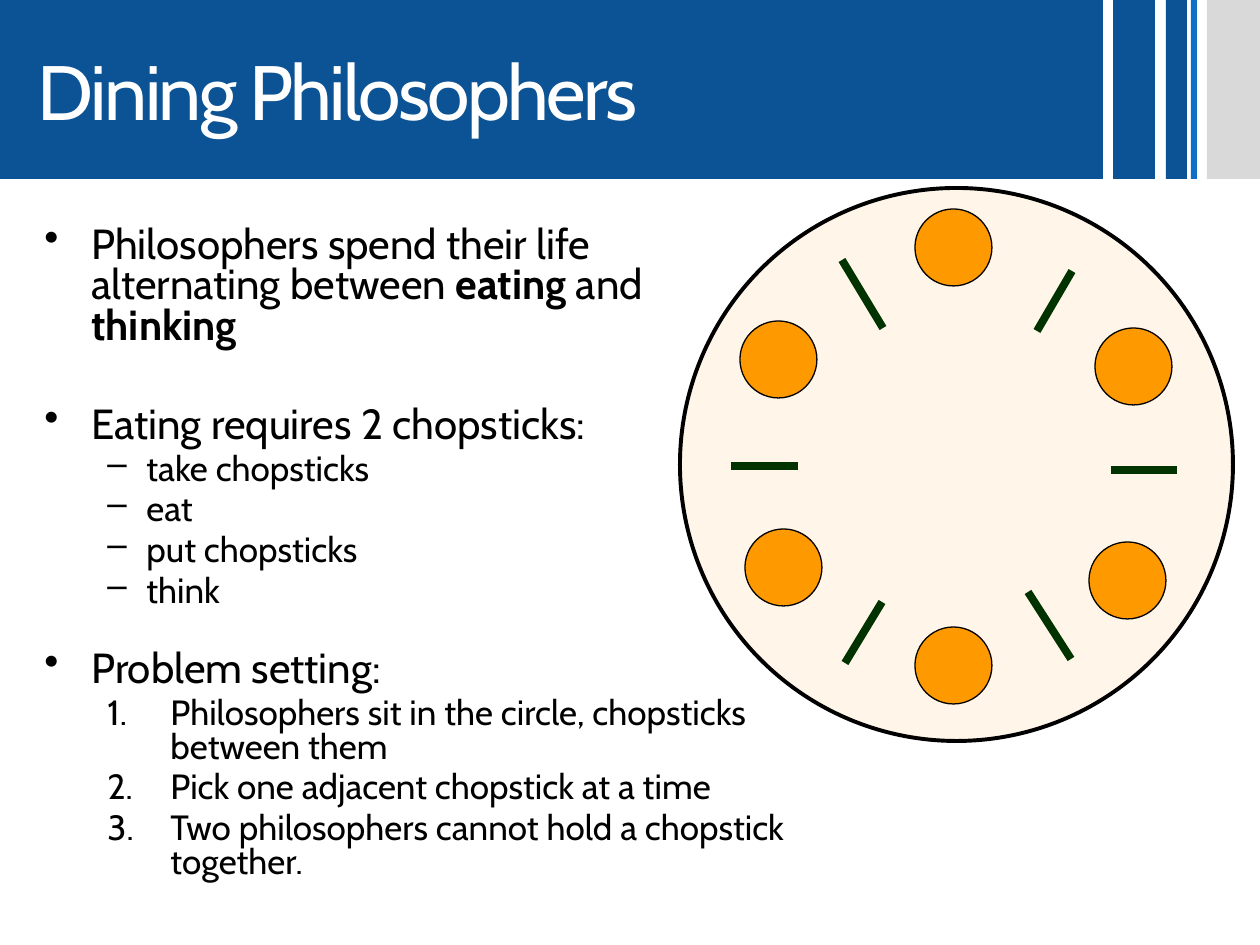
from lxml.etree import SubElement as Sub
from pptx import Presentation
from pptx.dml.color import RGBColor as RGB
from pptx.enum.shapes import MSO_CONNECTOR as Conn, MSO_SHAPE as Geo
from pptx.enum.text import MSO_ANCHOR as Anchor, PP_ALIGN as Align
from pptx.oxml.ns import qn
from pptx.util import Pt

PX = 914400 / 126  # EMU in one px

theme = dict(
    font="Cabin", head=44, main=24, sub=20,
    blue="0B5394", bright="0F6FC6", grey="D9D9D9", white="FFFFFF",
    black="000000", cream="FFF6E9", orange="FF9900", green="003300",
)


def shape(geo, box, fill, edge=0):
    item = page.shapes.add_shape(geo, *[round(n * PX) for n in box])
    item.shadow.inherit = False
    item.fill.solid()
    item.fill.fore_color.rgb = RGB.from_string(theme[fill])
    if edge:
        item.line.color.rgb = RGB.from_string(theme["black"])
        item.line.width = Pt(edge)
    else:
        item.line.fill.background()
    return item


def write(para, text, size, color, bold=False):
    run = para.add_run()
    run.text = text
    look = dict(name=theme["font"], size=Pt(theme[size]), bold=bold)
    for key, val in look.items():
        setattr(run.font, key, val)
    run.font.color.rgb = RGB.from_string(theme[color])
    return run


deck = Presentation()
deck.slide_width, deck.slide_height = round(1260 * PX), round(945 * PX)
page = deck.slides.add_slide(deck.slide_layouts[6])

# Header band and stripes
band = 179
for left, width, fill in [(1113, 42, "blue"), (1166, 21, "blue"),
                          (1191, 6, "bright"), (1207, 53, "grey")]:
    shape(Geo.RECTANGLE, (left, 0, width, band), fill)

# Title
title = shape(Geo.RECTANGLE, (0, 0, 1103, band), "blue")
frame = title.text_frame
for key, val in dict(margin_left=round(38 * PX), word_wrap=True,
                     vertical_anchor=Anchor.MIDDLE).items():
    setattr(frame, key, val)
frame.paragraphs[0].alignment = Align.LEFT
run = write(frame.paragraphs[0], "Dining Philosophers", "head", "white")
run.font._element.set("spc", "-150")

# Body: kind, space before in points, text (* toggles bold, \n breaks the line)
kinds = dict(
    dot=dict(level=0, size="main", left=47, hang=47, mark=("a:buChar", "char", "•")),
    dash=dict(level=1, size="sub", left=102, hang=39, mark=("a:buChar", "char", "–")),
    num=dict(level=1, size="sub", left=126, hang=63,
             mark=("a:buAutoNum", "type", "arabicPeriod")),
)
body = [
    ("dot", 4.8, "Philosophers spend their life \nalternating between *eating* and \n*thinking*"),
    ("dot", 33.6, "Eating requires 2 chopsticks:"),
    ("dash", 4, "take chopsticks"),
    ("dash", 4, "eat"),
    ("dash", 4, "put chopsticks"),
    ("dash", 4, "think"),
    ("dot", 23.8, "Problem setting:"),
    ("num", 4, "Philosophers sit in the circle, chopsticks \nbetween them"),
    ("num", 4, "Pick one adjacent chopstick at a time"),
    ("num", 4, "Two philosophers cannot hold a chopstick \ntogether."),
]
box = page.shapes.add_textbox(*[round(n * PX) for n in (32, 221, 1166, 624)])
frame = box.text_frame
frame.word_wrap = True
for row, (name, gap, text) in enumerate(body):
    kind = kinds[name]
    para = frame.add_paragraph() if row else frame.paragraphs[0]
    for key, val in dict(level=kind["level"], line_spacing=0.8,
                         space_before=Pt(gap), alignment=Align.LEFT).items():
        setattr(para, key, val)
    props = para._p.get_or_add_pPr()
    props.set("marL", str(round(kind["left"] * PX)))
    props.set("indent", str(round(-kind["hang"] * PX)))
    tag, key, val = kind["mark"]
    Sub(props, qn(tag)).set(key, val)
    for turn, part in enumerate(text.split("*")):
        for line, words in enumerate(part.split("\n")):
            if line:
                para.add_line_break()
            if words:
                write(para, words, kind["size"], "black", bold=turn % 2 == 1)

# Table
shape(Geo.OVAL, (680, 188, 553, 553), "cream", 2.25)

# Philosophers
for left, top in [(915, 627), (915, 209), (1089, 542),
                  (1095, 328), (740, 321), (745, 529)]:
    shape(Geo.OVAL, (left, top, 77, 77), "orange", 0.75)

# Chopsticks
for ends in [(842, 260, 883, 328), (1028, 592, 1071, 659), (1111, 470, 1177, 470),
             (1072, 271, 1037, 331), (731, 466, 798, 466), (882, 602, 845, 663)]:
    stick = page.shapes.add_connector(Conn.STRAIGHT, *[round(n * PX) for n in ends])
    stick.line.color.rgb = RGB.from_string(theme["green"])
    stick.line.width = Pt(4.5)
    Sub(stick._element.spPr, qn("a:effectLst"))

deck.save("out.pptx")
